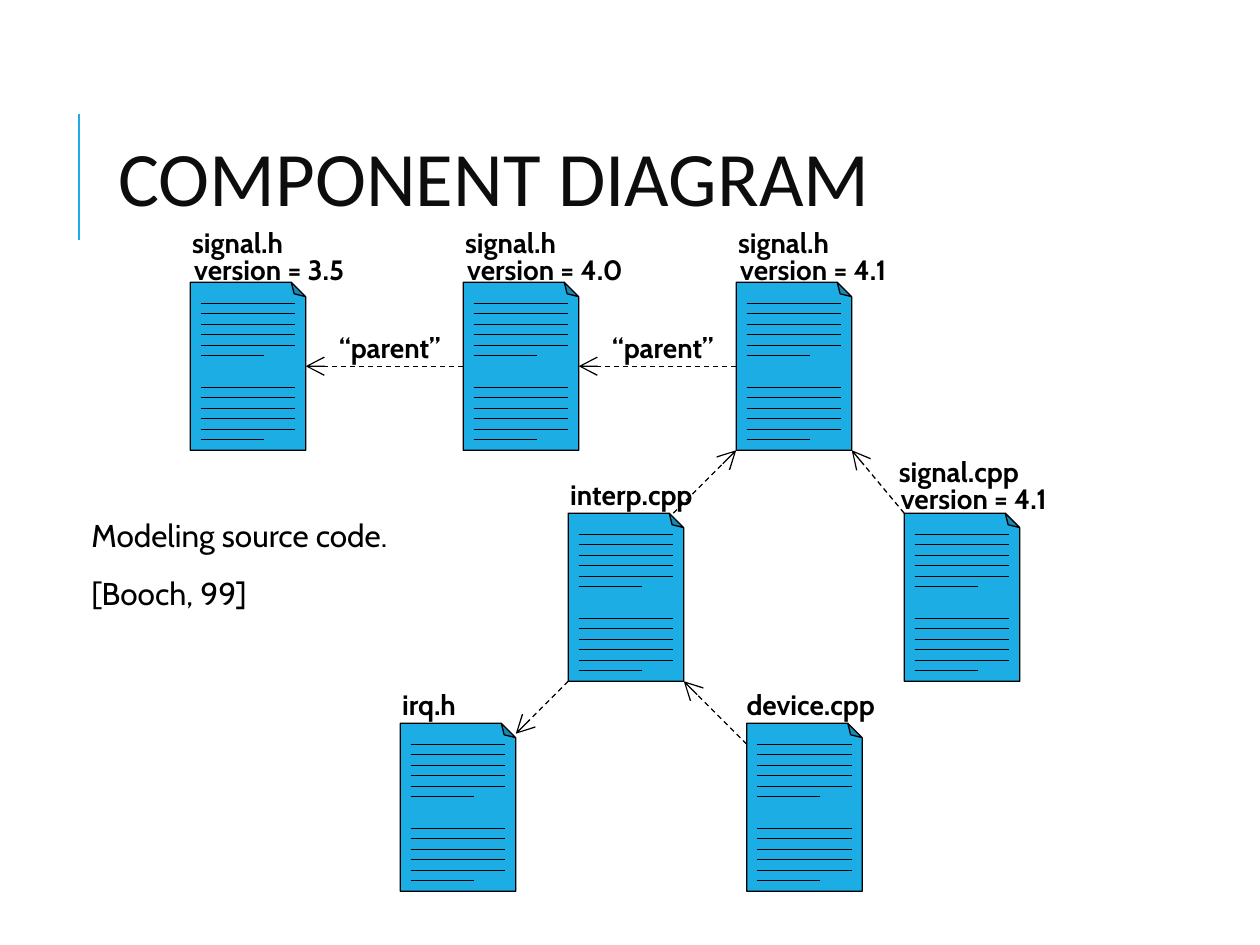
from lxml import etree
from pptx import Presentation
from pptx.dml.color import RGBColor
from pptx.enum.dml import MSO_LINE
from pptx.enum.shapes import MSO_CONNECTOR, MSO_SHAPE
from pptx.enum.text import MSO_ANCHOR, MSO_AUTO_SIZE, PP_ALIGN
from pptx.oxml.ns import qn
from pptx.util import Inches, Pt

STRAIGHT = MSO_CONNECTOR.STRAIGHT
FOLDED_CORNER = MSO_SHAPE.FOLDED_CORNER
DASH = MSO_LINE.DASH
LEFT = PP_ALIGN.LEFT
TOP, MIDDLE = MSO_ANCHOR.TOP, MSO_ANCHOR.MIDDLE
NO_AUTOFIT = MSO_AUTO_SIZE.NONE

# The diagram grid has 12 cells to the inch; a file is 11 by 16 cells
CELLS_PER_INCH = 12
ORIGIN_X, ORIGIN_Y = 0.01, -0.01
FILE_COLS, FILE_ROWS = 11, 16
CODE_BLOCK_ROWS = (2, 10)
LINES_PER_BLOCK = 6


def color(hex_value):
    return RGBColor.from_string(hex_value)


def size(cells):
    return Inches(cells / CELLS_PER_INCH)


def grid_x(col):
    return Inches(ORIGIN_X) + size(col)


def grid_y(row):
    return Inches(ORIGIN_Y) + size(row)


class DiagramSlide:
    ACCENT, INK, TITLE_INK = "1CADE4", "000000", "0D0D0D"
    TITLE_FONT, TEXT_FONT = "Calibri", "Cabin"
    THIN = 0.75

    def __init__(self, prs):
        self.slide = prs.slides.add_slide(prs.slide_layouts[5])
        self.shapes = self.slide.shapes

    def format_runs(self, paragraph, font, points, ink, bold=False):
        paragraph.alignment = LEFT
        for run in paragraph.runs:
            run.font.name = font
            run.font.size = Pt(points)
            run.font.bold = bold
            run.font.color.rgb = color(ink)

    def title(self, wording):
        title = self.shapes.title
        title.left, title.top = Inches(0.84), Inches(0.64)
        title.width, title.height = Inches(7.97), Inches(1.64)
        frame = title.text_frame
        frame.text = wording
        frame.auto_size = NO_AUTOFIT
        frame.vertical_anchor = MIDDLE
        frame.paragraphs[0].line_spacing = 0.8
        self.format_runs(frame.paragraphs[0], self.TITLE_FONT, 44, self.TITLE_INK)

    def line(self, shapes, start, end, ink=INK, weight=THIN):
        """Draw a plain line between two (col, row) points."""
        line = shapes.add_connector(
            STRAIGHT, grid_x(start[0]), grid_y(start[1]), grid_x(end[0]), grid_y(end[1]))
        line.line.color.rgb = color(ink)
        line.line.width = Pt(weight)
        etree.SubElement(line._element.spPr, qn("a:effectLst"))
        return line

    def dependency(self, start, end):
        """Draw a dashed line with an open arrowhead at its end."""
        arrow = self.line(self.shapes, start, end)
        arrow.line.dash_style = DASH
        etree.SubElement(arrow._element.spPr.find(qn("a:ln")), qn("a:tailEnd"),
                         type="arrow", w="lg", len="lg")

    def source_file(self, col, row):
        """Draw a folded page with two blocks of code lines."""
        parts = self.shapes.add_group_shape().shapes
        page = parts.add_shape(FOLDED_CORNER, grid_x(col), grid_y(row),
                               size(FILE_COLS), size(FILE_ROWS))
        properties = page._element.spPr
        fold = properties.find(qn("a:prstGeom")).find(qn("a:avLst"))
        etree.SubElement(fold, qn("a:gd"), name="adj", fmla="val 12500")
        properties.find(qn("a:xfrm")).set("flipV", "1")
        page.shadow.inherit = False
        page.fill.solid()
        page.fill.fore_color.rgb = color(self.ACCENT)
        page.line.color.rgb = color(self.INK)
        page.line.width = Pt(self.THIN)
        for block_row in CODE_BLOCK_ROWS:
            for i in range(LINES_PER_BLOCK):
                length = 6 if i == LINES_PER_BLOCK - 1 else 9
                y = row + block_row + i
                self.line(parts, (col + 1, y), (col + 1 + length, y))

    def text(self, col, row, cols, rows, lines, points=16, bold=True, gap=0):
        box = self.shapes.add_textbox(grid_x(col), grid_y(row), size(cols), size(rows))
        frame = box.text_frame
        frame.word_wrap = True
        frame.vertical_anchor = TOP
        frame.text = "\n".join(lines)
        for i, paragraph in enumerate(frame.paragraphs):
            if i:
                paragraph.space_before = Pt(gap)
            self.format_runs(paragraph, self.TEXT_FONT, points, self.INK, bold)

    def file_label(self, col, row, cols, name, version):
        self.text(col, row, cols, 4.4, [name])
        if version:
            self.text(col + 0.2, row + 2.6, 18, 4.4, [f"version = {version}"])


# Each file: col, row, label offset (cols, rows), label width, name, version
FILES = [
    (18, 27, -1, -6, 13, "signal.h", "3.5"),
    (44, 27, -1, -6, 13, "signal.h", "4.0"),
    (70, 27, -1, -6, 13, "signal.h", "4.1"),
    (86, 49, -1.7, -6.2, 21, "signal.cpp", "4.1"),
    (54, 49, -1, -4, 22, "interp.cpp", None),
    (38, 69, -1, -4, 13, "irq.h", None),
    (71, 69, -1.2, -4, 17, "device.cpp", None),
]

# Each dependency: start and end as (col, row)
DEPENDENCIES = [
    ((44, 35), (29, 35)),  # signal.h 4.0 to 3.5
    ((70, 35), (55, 35)),  # signal.h 4.1 to 4.0
    ((64, 49), (70, 43)),  # interp.cpp to signal.h
    ((86, 49), (81, 43)),  # signal.cpp to signal.h
    ((71, 71), (65, 65)),  # device.cpp to interp.cpp
    ((54, 65), (49, 70)),  # interp.cpp to irq.h
]


def main():
    prs = Presentation()
    prs.slide_width, prs.slide_height = Inches(10), Inches(7.5)
    diagram = DiagramSlide(prs)

    # Title and its accent rule
    diagram.line(diagram.shapes, (7.4, 23), (7.4, 11), diagram.ACCENT, 1.5)
    diagram.title("COMPONENT DIAGRAM")

    # Files and the dependencies between them
    for col, row, *_ in FILES:
        diagram.source_file(col, row)
    for start, end in DEPENDENCIES:
        diagram.dependency(start, end)

    # Labels
    for col, row, shift, rise, cols, name, version in FILES:
        diagram.file_label(col + shift, row + rise, cols, name, version)
    for col in (31, 57):
        diagram.text(col, 31, 13, 4.4, ["“parent”"])

    # Note
    diagram.text(7.4, 48.7, 41, 10.3, ["Modeling source code.", "[Booch, 99]"],
                 points=18, bold=False, gap=11.2)

    prs.save("out.pptx")


if __name__ == "__main__":
    main()
